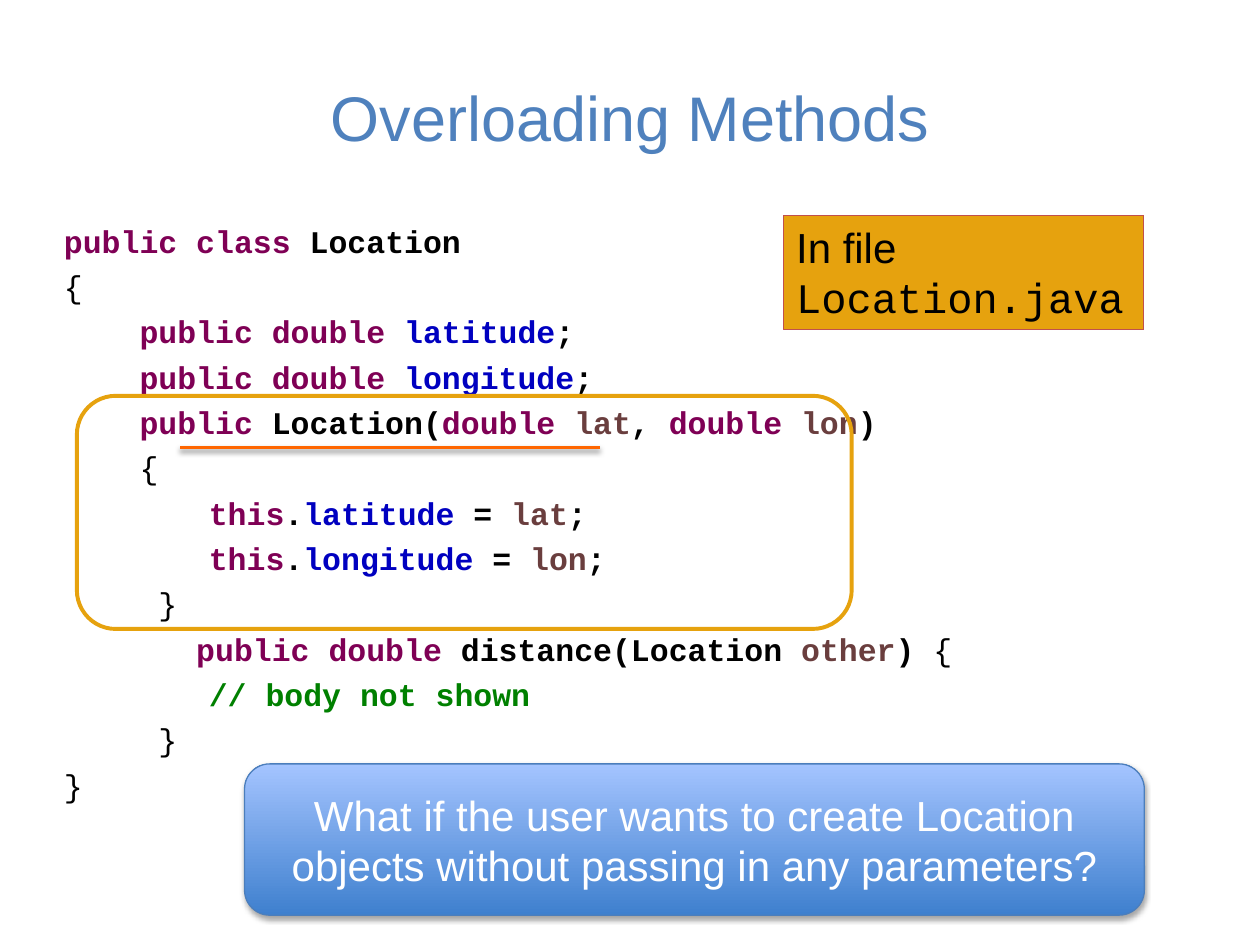
from lxml.etree import SubElement
from pptx import Presentation
from pptx.dml.color import RGBColor
from pptx.enum.shapes import MSO_CONNECTOR, MSO_SHAPE
from pptx.enum.text import MSO_ANCHOR, PP_ALIGN
from pptx.oxml.ns import qn
from pptx.util import Cm, Pt

TOKENS = {
    "key": ("7F0055", True),
    "name": ("000000", True),
    "field": ("0000C0", True),
    "arg": ("6A3E3E", True),
    "comment": ("008000", True),
    "plain": ("000000", False),
}


def field_line(name):
    """Return the tokens of a field declaration."""
    return [("    ", "plain"), ("public double ", "key"), (name, "field"), (";", "name")]


def assign_line(field, arg):
    """Return the tokens of an assignment in the constructor."""
    return [("\t\t ", "name"), ("this", "key"), (".", "name"), (field, "field"),
            (" = ", "name"), (arg, "arg"), (";", "name")]


CODE = [
    [("public class", "key"), (" Location", "name")],
    [("{", "plain")],
    field_line("latitude"),
    field_line("longitude"),
    [("    ", "plain"), ("public", "key"), (" Location(", "name"), ("double ", "key"),
     ("lat", "arg"), (", ", "name"), ("double ", "key"), ("lon", "arg"), (")", "name")],
    [("    {", "plain")],
    assign_line("latitude", "lat"),
    assign_line("longitude", "lon"),
    [("     }", "plain")],
    [("       ", "plain"), ("public double", "key"), (" distance(Location ", "name"),
     ("other", "arg"), (") ", "name"), ("{", "plain")],
    [("\t\t ", "name"), ("// body not shown", "comment")],
    [("     }", "plain")],
    [("}", "plain")],
]


def rgb(value):
    """Turn a hex string into a colour."""
    return RGBColor.from_string(value)


def box(left, top, width, height):
    """Return a box whose sides are given in centimetres."""
    return Cm(left), Cm(top), Cm(width), Cm(height)


def add_run(p, text, font, size, color, bold=False):
    """Append a formatted run to a paragraph."""
    r = p.add_run()
    r.text = text
    r.font.name, r.font.size, r.font.bold = font, Pt(size), bold
    r.font.color.rgb = rgb(color)


def set_line(sp, color, width):
    """Set the colour and width of an outline or line."""
    sp.line.color.rgb = rgb(color)
    sp.line.width = Pt(width)


def set_shadow(sp, opacity=None, dist=0):
    """Clear the theme shadow and cast a soft one downwards if asked."""
    effects = SubElement(sp._element.spPr, qn("a:effectLst"))
    if opacity:
        shadow = SubElement(effects, qn("a:outerShdw"), blurRad=str(Pt(3.1)),
                            dist=str(Pt(dist)), dir="5400000", rotWithShape="0")
        color = SubElement(shadow, qn("a:srgbClr"), val="000000")
        SubElement(color, qn("a:alpha"), val=str(opacity * 1000))


def add_title(s, area, text):
    """Fill the title placeholder."""
    sp = s.shapes.title
    sp.left, sp.top, sp.width, sp.height = area
    tf = sp.text_frame
    tf.vertical_anchor = MSO_ANCHOR.MIDDLE
    p = tf.paragraphs[0]
    p.alignment = PP_ALIGN.CENTER
    add_run(p, text, "Arial", 36, "4F81BD")


def add_code(s, area, lines):
    """Place the coloured code listing."""
    tf = s.shapes.add_textbox(*area).text_frame
    tf.word_wrap = True
    for i, tokens in enumerate(lines):
        p = tf.paragraphs[0] if i == 0 else tf.add_paragraph()
        p.line_spacing = 1.2
        tabs = SubElement(p._p.get_or_add_pPr(), qn("a:tabLst"))
        for stop in (1.27, 2.54):
            SubElement(tabs, qn("a:tab"), pos=str(Cm(stop)), algn="l")
        for text, kind in tokens:
            add_run(p, text, "Courier New", 18, *TOKENS[kind])


def add_file_label(s, area):
    """Place the label that names the source file."""
    sp = s.shapes.add_shape(MSO_SHAPE.RECTANGLE, *area)
    sp.fill.solid()
    sp.fill.fore_color.rgb = rgb("E6A20E")
    set_line(sp, "C0504D", 0.75)
    set_shadow(sp)
    tf = sp.text_frame
    tf.word_wrap = True
    tf.vertical_anchor = MSO_ANCHOR.TOP
    p = tf.paragraphs[0]
    p.alignment = PP_ALIGN.LEFT
    add_run(p, "In file ", "Arial", 24, "000000")
    add_run(p, "Location.java", "Courier New", 24, "000000")


def add_highlight(s, area):
    """Frame the constructor."""
    sp = s.shapes.add_shape(MSO_SHAPE.ROUNDED_RECTANGLE, *area)
    sp.fill.background()
    set_line(sp, "E6A20E", 2.25)
    set_shadow(sp)


def add_question(s, area, text):
    """Place the question in a shaded rounded box."""
    sp = s.shapes.add_shape(MSO_SHAPE.ROUNDED_RECTANGLE, *area)
    sp.fill.gradient()
    sp.fill.gradient_angle = 90
    for stop, color in zip(sp.fill.gradient_stops, ("3F80CE", "A4C4FF")):
        stop.color.rgb = rgb(color)
    set_line(sp, "4B7EBC", 0.75)
    set_shadow(sp, 35, 1.8)
    tf = sp.text_frame
    tf.word_wrap = True
    tf.vertical_anchor = MSO_ANCHOR.MIDDLE
    p = tf.paragraphs[0]
    p.alignment = PP_ALIGN.CENTER
    add_run(p, text, "Arial", 24, "FFFFFF")


def add_underline(s, area):
    """Underline the signature along the top of its box."""
    left, top, width, height = area
    sp = s.shapes.add_connector(MSO_CONNECTOR.STRAIGHT, left, top, left + width, top + height)
    set_line(sp, "FF6600", 2)
    set_shadow(sp, 38, 1.6)


def main():
    """Build the slide."""
    prs = Presentation()
    prs.slide_width, prs.slide_height = Cm(25.4), Cm(19.05)
    s = prs.slides.add_slide(prs.slide_layouts[5])
    add_title(s, box(1.27, 0.76, 22.86, 3.18), "Overloading Methods")
    add_code(s, box(1.04, 4.19, 22.78, 12.24), CODE)
    add_file_label(s, box(15.8, 4.34, 7.26, 2.31))
    add_highlight(s, box(1.55, 7.98, 15.62, 4.7))
    add_question(s, box(4.93, 15.4, 18.14, 3.05),
                 "What if the user wants to create Location objects "
                 "without passing in any parameters?")
    add_underline(s, box(3.63, 9.02, 8.46, 0))
    prs.save("out.pptx")


if __name__ == "__main__":
    main()
